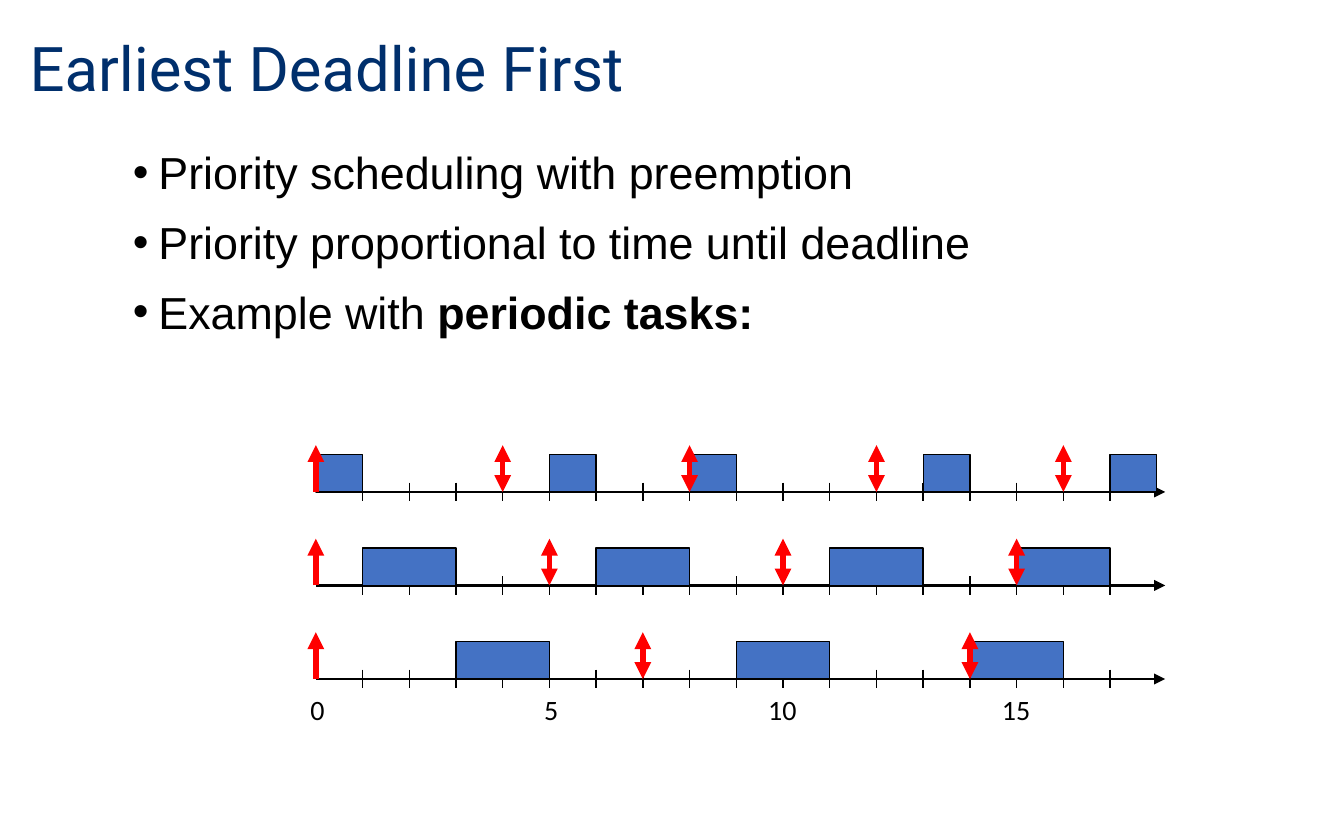
from dataclasses import dataclass
from typing import NamedTuple

from lxml.etree import SubElement
from pptx import Presentation
from pptx.dml.color import RGBColor
from pptx.enum.shapes import MSO_CONNECTOR, MSO_SHAPE
from pptx.enum.text import MSO_ANCHOR, PP_ALIGN
from pptx.oxml.ns import qn
from pptx.util import Inches, Pt


@dataclass(frozen=True)
class Theme:
    title_color = RGBColor(0x00, 0x2F, 0x6C)
    ink = RGBColor(0, 0, 0)
    bar = RGBColor(0x44, 0x72, 0xC4)
    deadline = RGBColor(0xFF, 0, 0)
    title_font, body_font, label_font = "Roboto", "Arial", "Calibri"
    title_size, body_size, label_size = Pt(33), Pt(24), Pt(15)
    thin, axis, thick = Pt(0.75), Pt(1.5), Pt(3)


class Box(NamedTuple):
    x: int
    y: int
    w: int
    h: int


class Task(NamedTuple):
    period: int
    length: int
    starts: tuple


THEME = Theme()
BULLETS = [
    [("Priority scheduling with preemption", False)],
    [("Priority proportional to time until deadline", False)],
    [("Example with ", False), ("periodic tasks:", True)],
]
TASKS = [
    Task(4, 1, (0, 5, 8, 13, 17)),
    Task(5, 2, (1, 6, 11, 15)),
    Task(7, 2, (3, 9, 14)),
]
LAST_TICK = 17
AXIS_UNITS = 18.18


def share(prs, x, y, w, h):
    sw, sh = prs.slide_width, prs.slide_height
    return Box(int(x * sw), int(y * sh), int(w * sw), int(h * sh))


def place(sp, box):
    sp.left, sp.top, sp.width, sp.height = box


def add_run(p, text, font, size, color, bold=False):
    r = p.add_run()
    r.text = text
    r.font.name, r.font.size, r.font.bold = font, size, bold
    r.font.color.rgb = color


def add_line(shapes, x1, y1, x2, y2, color, width, head=False, tail=False):
    ln = shapes.add_connector(MSO_CONNECTOR.STRAIGHT, int(x1), int(y1), int(x2), int(y2))
    ln.line.color.rgb = color
    ln.line.width = width
    for tag, wanted in (("a:headEnd", head), ("a:tailEnd", tail)):
        if wanted:
            SubElement(ln.line._get_or_add_ln(), qn(tag), type="triangle")
    SubElement(ln._element.spPr, qn("a:effectLst"))


def add_title(slide, box):
    sp = slide.shapes.title
    place(sp, box)
    tf = sp.text_frame
    tf.vertical_anchor = MSO_ANCHOR.MIDDLE
    p = tf.paragraphs[0]
    p.alignment = PP_ALIGN.LEFT
    p.line_spacing = 0.9
    add_run(p, "Earliest Deadline First", THEME.title_font, THEME.title_size, THEME.title_color)


def add_bullets(slide, box):
    tf = slide.shapes.add_textbox(*box).text_frame
    tf.word_wrap = True
    tf.margin_top = Inches(0.08)
    for i, runs in enumerate(BULLETS):
        p = tf.paragraphs[0] if i == 0 else tf.add_paragraph()
        pPr = p._p.get_or_add_pPr()
        pPr.set("marL", str(Inches(0.19)))
        pPr.set("indent", str(-Inches(0.19)))
        SubElement(pPr, qn("a:buFont"), typeface=THEME.body_font)
        SubElement(pPr, qn("a:buChar"), char="•")
        if i:
            p.space_before = Pt(8.5)
        for text, bold in runs:
            add_run(p, text, THEME.body_font, THEME.body_size, THEME.ink, bold)


def add_timeline(shapes, task, box):
    unit = box.w / AXIS_UNITS
    base = box.y + box.h
    add_line(shapes, box.x, base, box.x + box.w, base, THEME.ink, THEME.axis, tail=True)
    for t in range(1, LAST_TICK + 1):
        x = box.x + t * unit
        add_line(shapes, x, base - 0.2 * unit, x, base + 0.2 * unit, THEME.ink, THEME.thin)
    for t in task.starts:
        sp = shapes.add_shape(MSO_SHAPE.RECTANGLE, int(box.x + t * unit), int(base - 0.8 * unit),
                              int(task.length * unit), int(0.8 * unit))
        sp.shadow.inherit = False
        sp.fill.solid()
        sp.fill.fore_color.rgb = THEME.bar
        sp.line.color.rgb = THEME.ink
        sp.line.width = THEME.thin
    for t in range(0, LAST_TICK + 1, task.period):
        x = box.x + t * unit
        add_line(shapes, x, base, x, box.y, THEME.deadline, THEME.thick, head=t > 0, tail=True)


def add_time_labels(shapes, box):
    unit = box.w / AXIS_UNITS
    for t in range(0, LAST_TICK + 1, 5):
        text = str(t)
        x = box.x + (t - 0.2 * (1 + len(text))) * unit
        tf = shapes.add_textbox(int(x), box.y, int(1.6 * unit), box.h).text_frame
        tf.word_wrap = True
        add_run(tf.paragraphs[0], text, THEME.label_font, THEME.label_size, THEME.ink)


def add_schedule(slide, box):
    shapes = slide.shapes.add_group_shape().shapes
    row = box.h // 6
    for i, task in enumerate(TASKS):
        add_timeline(shapes, task, Box(box.x, box.y + 2 * i * row, box.w, row))
    add_time_labels(shapes, Box(box.x, box.y + int(5.15 * row), box.w, row))


def main():
    prs = Presentation()
    prs.slide_width, prs.slide_height = Inches(10), Inches(6.25)
    slide = prs.slides.add_slide(prs.slide_layouts[5])
    add_title(slide, share(prs, 0.012, 0.016, 0.852, 0.138))
    add_bullets(slide, share(prs, 0.089, 0.16, 0.719, 0.635))
    add_schedule(slide, share(prs, 0.235, 0.53, 0.632, 0.334))
    prs.save("out.pptx")


if __name__ == "__main__":
    main()
